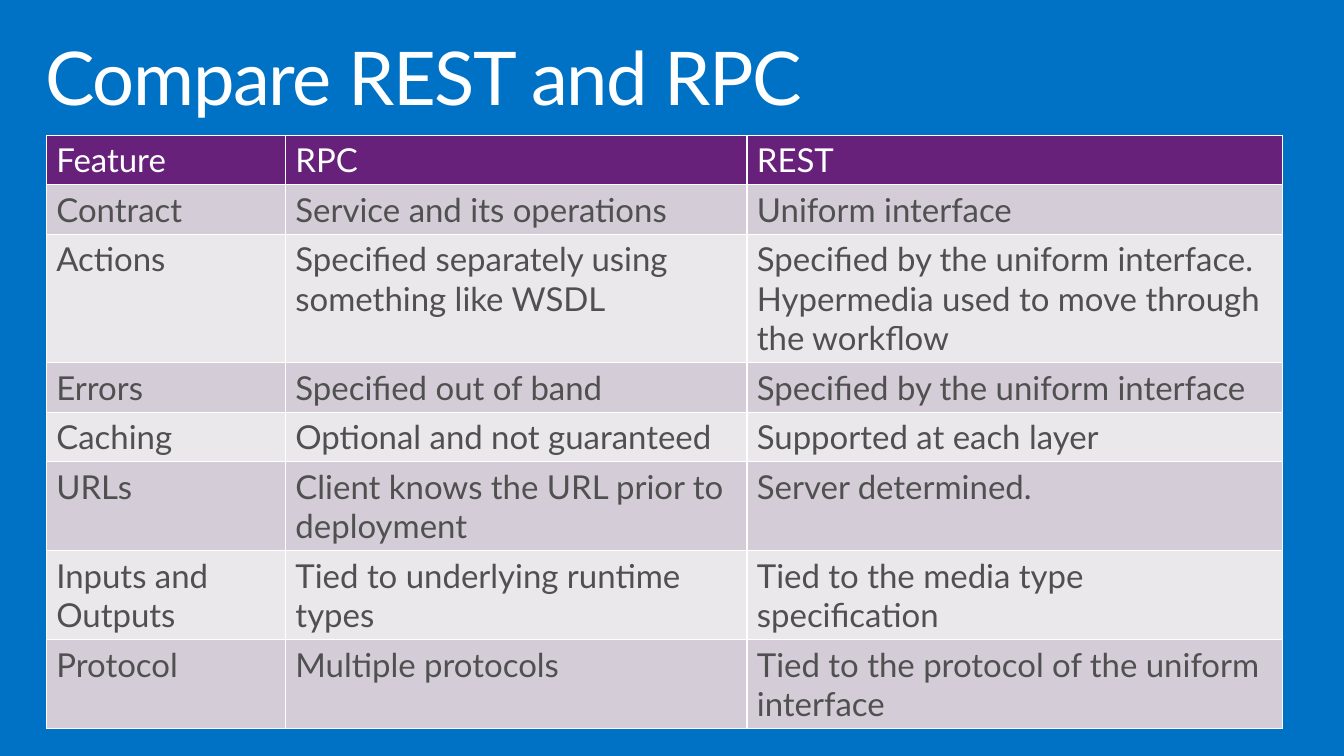
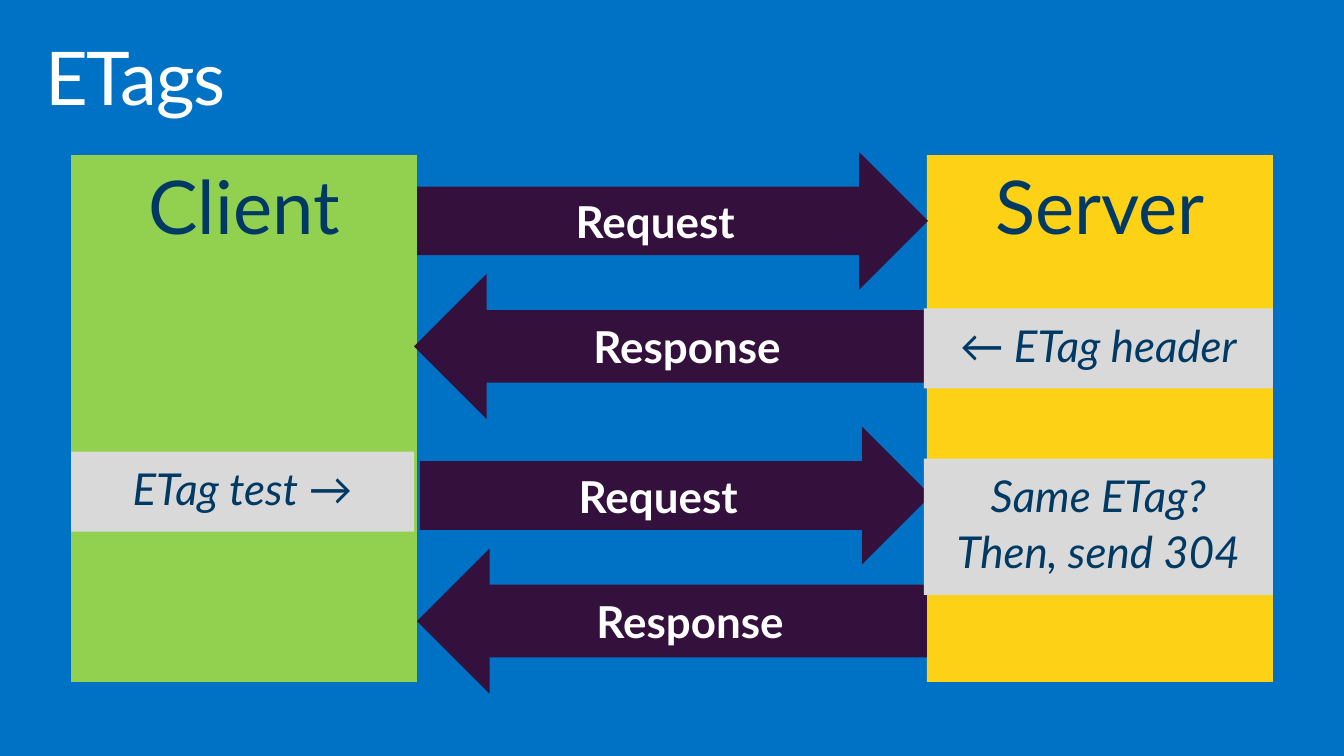
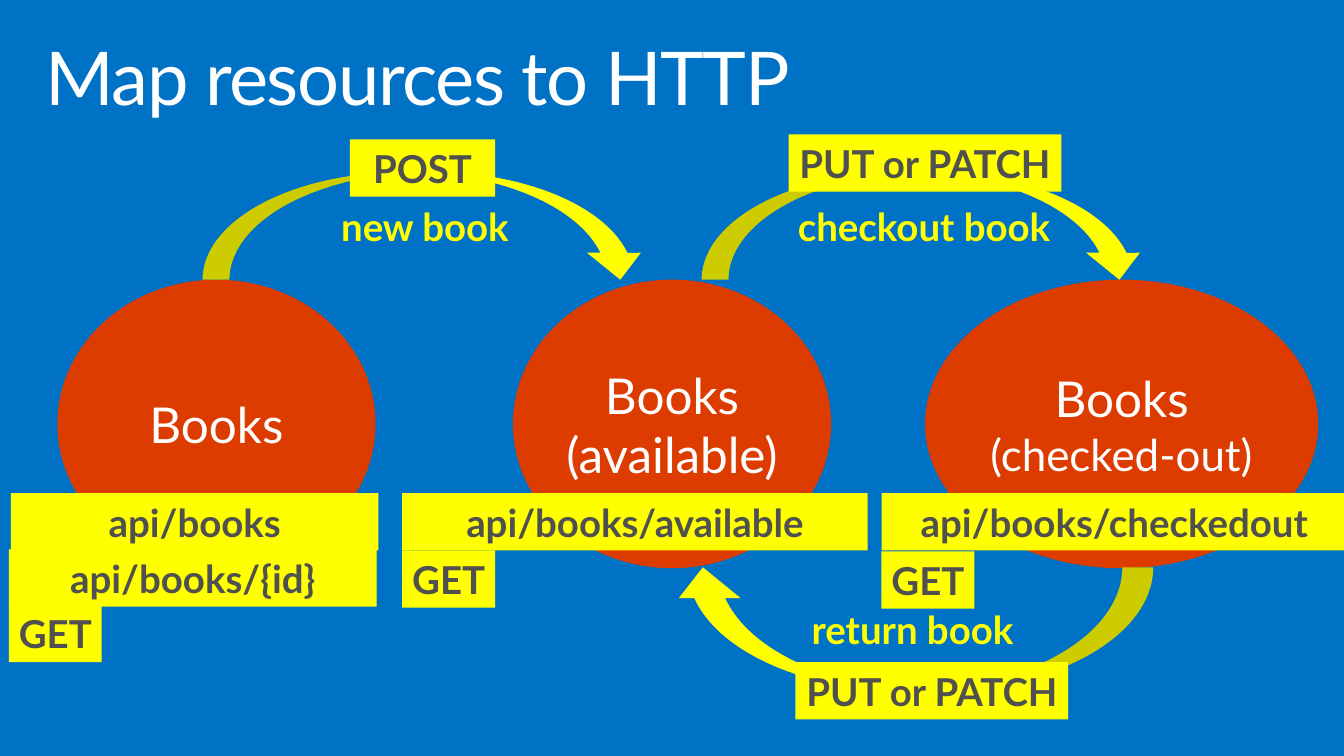
"""Build three slides on REST, ETags and mapping resources to HTTP."""
from dataclasses import dataclass

from lxml import etree
from pptx import Presentation
from pptx.dml.color import RGBColor
from pptx.enum.shapes import MSO_SHAPE
from pptx.enum.text import MSO_ANCHOR, PP_ALIGN
from pptx.oxml.ns import qn
from pptx.util import Pt

PX = 9144
RECT, ELLIPSE = MSO_SHAPE.RECTANGLE, MSO_SHAPE.OVAL
RIGHT, LEFT = MSO_SHAPE.RIGHT_ARROW, MSO_SHAPE.LEFT_ARROW
CURVED_DOWN, CURVED_UP = MSO_SHAPE.CURVED_DOWN_ARROW, MSO_SHAPE.CURVED_UP_ARROW
TOP, MIDDLE = MSO_ANCHOR.TOP, MSO_ANCHOR.MIDDLE
ALIGN_LEFT, CENTER = PP_ALIGN.LEFT, PP_ALIGN.CENTER


@dataclass(frozen=True)
class Theme:
    font: str = "Lato"
    background: str = "0072C6"
    white: str = "FFFFFF"
    gray: str = "505050"
    navy: str = "003963"
    header: str = "68217A"
    bands: tuple = ("D4CDD7", "EBE8EC")
    client: str = "92D050"
    server: str = "FCD116"
    message: str = "34103D"
    note: str = "D9D9D9"
    resource: str = "DC3C00"
    verb: str = "FFFF00"
    title_size: int = 54
    resource_size: int = 36
    message_size: int = 32
    label_size: int = 28
    table_size: int = 24


theme = Theme()


def write(frame, text, size, color, align=ALIGN_LEFT, bold=False, italic=False,
          line_spacing=None, space_after=None):
    frame.text = text
    for paragraph in frame.paragraphs:
        paragraph.alignment = align
        paragraph.line_spacing = line_spacing
        paragraph.space_after = space_after
        font = paragraph.font
        font.name, font.size = theme.font, Pt(size)
        font.bold, font.italic = bold, italic
        font.color.rgb = RGBColor.from_string(color)


def draw(slide, preset, box, fill, text, size, color, anchor=MIDDLE, inset=(0, 5), **style):
    shape = slide.shapes.add_shape(preset, *(length * PX for length in box))
    shape.shadow.inherit = False
    shape.fill.solid()
    shape.fill.fore_color.rgb = RGBColor.from_string(fill)
    shape.line.fill.background()
    frame = shape.text_frame
    frame.word_wrap = True
    frame.vertical_anchor = anchor
    frame.margin_left = frame.margin_right = inset[0] * PX
    frame.margin_top = frame.margin_bottom = inset[1] * PX
    write(frame, text, size, color, CENTER, **style)
    return shape


prs = Presentation()
prs.slide_width, prs.slide_height = 1360 * PX, 765 * PX
backdrop = prs.slide_master.background.fill
backdrop.solid()
backdrop.fore_color.rgb = RGBColor.from_string(theme.background)

slides = []
for heading in ("Compare REST and RPC", "ETags", "Map resources to HTTP"):
    slide = prs.slides.add_slide(prs.slide_layouts[6])
    title = slide.shapes.add_textbox(30 * PX, 32 * PX, 1300 * PX, 100 * PX).text_frame
    title.word_wrap = True
    title.margin_left = title.margin_right = 16 * PX
    title.margin_top = title.margin_bottom = 10 * PX
    write(title, heading, theme.title_size, theme.white, line_spacing=0.9)
    title.paragraphs[0].runs[0].font._element.set("spc", "-100")
    slides.append(slide)
comparison, etags, resources = slides

features = [
    ("Feature", "RPC", "REST"),
    ("Contract", "Service and its operations", "Uniform interface"),
    ("Actions", "Specified separately using something like WSDL",
     "Specified by the uniform interface. Hypermedia used to move through the workflow"),
    ("Errors", "Specified out of band", "Specified by the uniform interface"),
    ("Caching", "Optional and not guaranteed", "Supported at each layer"),
    ("URLs", "Client knows the URL prior to deployment", "Server determined."),
    ("Inputs and Outputs", "Tied to underlying runtime types",
     "Tied to the media type specification"),
    ("Protocol", "Multiple protocols", "Tied to the protocol of the uniform interface"),
]
line_counts = (1, 1, 3, 1, 1, 2, 2, 2)
table = comparison.shapes.add_table(
    len(features), 3, 47 * PX, 137 * PX, 1251 * PX, 600 * PX).table
table.horz_banding = False
for column, width in zip(table.columns, (242, 467, 542)):
    column.width = width * PX
for r, (feature, line_count) in enumerate(zip(features, line_counts)):
    table.rows[r].height = (10 + 40 * line_count) * PX
    band = theme.bands[(r - 1) % 2] if r else theme.header
    ink = theme.gray if r else theme.white
    for c, text in enumerate(feature):
        cell = table.cell(r, c)
        write(cell.text_frame, text, theme.table_size, ink)
        borders = cell._tc.get_or_add_tcPr()
        for side in ("a:lnL", "a:lnR", "a:lnT", "a:lnB"):
            border = etree.SubElement(borders, qn(side), w=str(Pt(1)))
            paint = etree.SubElement(border, qn("a:solidFill"))
            etree.SubElement(paint, qn("a:srgbClr"), val=theme.white)
        cell.fill.solid()
        cell.fill.fore_color.rgb = RGBColor.from_string(band)

for party, x, fill in (("Client", 72, theme.client), ("Server", 938, theme.server)):
    draw(etags, RECT, (x, 157, 350, 533), fill, party, theme.title_size, theme.navy, anchor=TOP)
for x, y in ((422, 154), (425, 432)):
    for message, preset, box in (("Request", RIGHT, (x, y, 517, 139)),
                                 ("Response", LEFT, (x - 3, y + 123, 516, 147))):
        draw(etags, preset, box, theme.message, message,
             theme.message_size, theme.white, bold=True)
for note, box in (("← ETag header", (935, 312, 353, 81)),
                  ("ETag test →", (72, 457, 347, 81)),
                  ("Same ETag?\nThen, send 304", (935, 464, 353, 138))):
    draw(etags, RECT, box, theme.note, note, theme.message_size, theme.navy, anchor=TOP,
         inset=(20, 16), italic=True, line_spacing=0.9, space_after=Pt(6))

for resource, x, width in (("Books", 58, 322), ("Books (available)", 519, 322),
                           ("Books ", 936, 398)):
    books = draw(resources, ELLIPSE, (x, 283, width, 292), theme.resource, resource,
                 theme.resource_size, theme.white)
checked_out = books.text_frame.paragraphs[0].add_run()
checked_out.text = "(checked-out)"
checked_out.font.size = Pt(theme.message_size)

for action, preset, box in (("new book", CURVED_DOWN, (205, 174, 450, 109)),
                            ("checkout book", CURVED_DOWN, (710, 174, 450, 109)),
                            ("return book", CURVED_UP, (680, 574, 487, 125))):
    transition = draw(resources, preset, box, theme.verb, action,
                      theme.label_size, theme.verb, bold=True)
    if preset == CURVED_UP:
        transition._element.spPr.xfrm.set("flipH", "1")

for label, x, y, width in (
        ("api/books", 11, 499, 372),
        ("api/books/available", 407, 499, 471),
        ("api/books/checkedout", 892, 499, 471),
        ("POST", 354, 141, 147),
        ("PUT or PATCH", 798, 136, 276),
        ("PUT or PATCH", 805, 670, 276),
        ("GET", 9, 612, 94),
        ("GET", 407, 557, 94),
        ("GET", 892, 558, 94),
        ("api/books/{id}", 9, 556, 372)):
    draw(resources, RECT, (x, y, width, 58), theme.verb, label,
         theme.label_size, theme.gray, bold=True)

prs.save("out.pptx")
